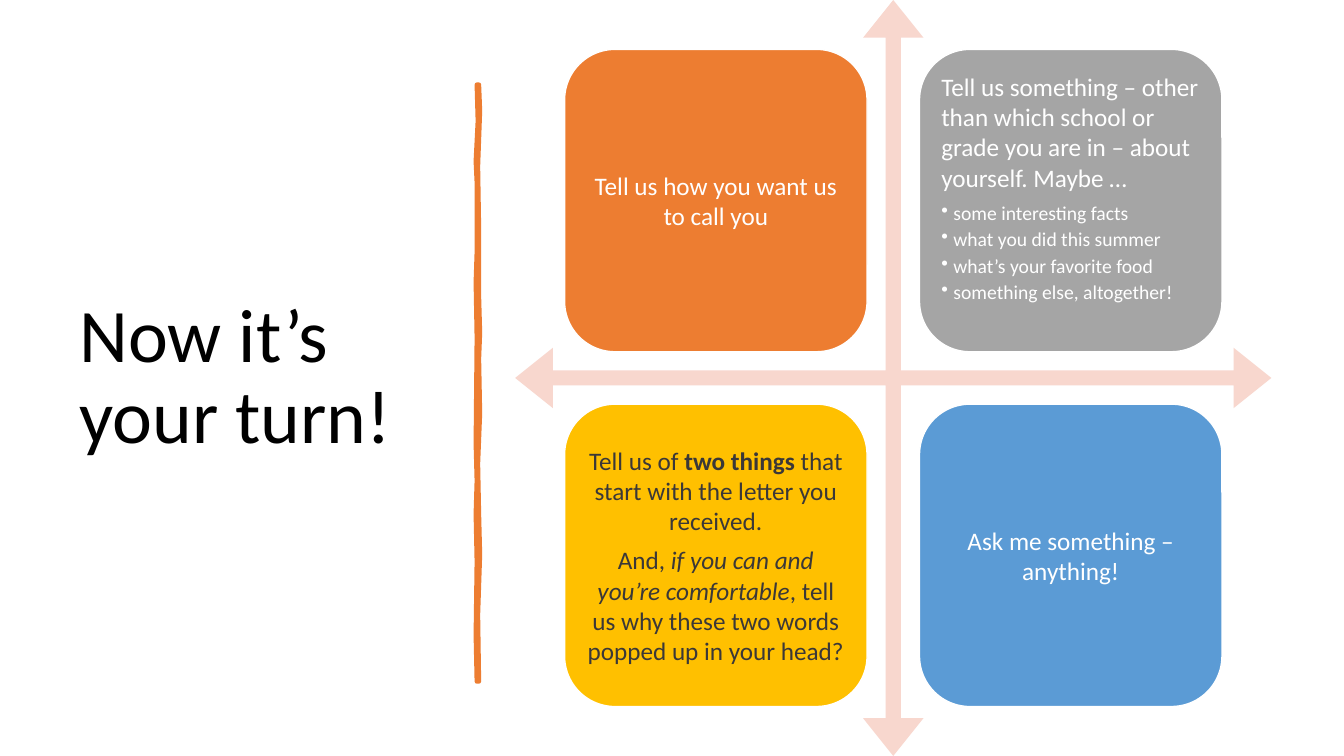
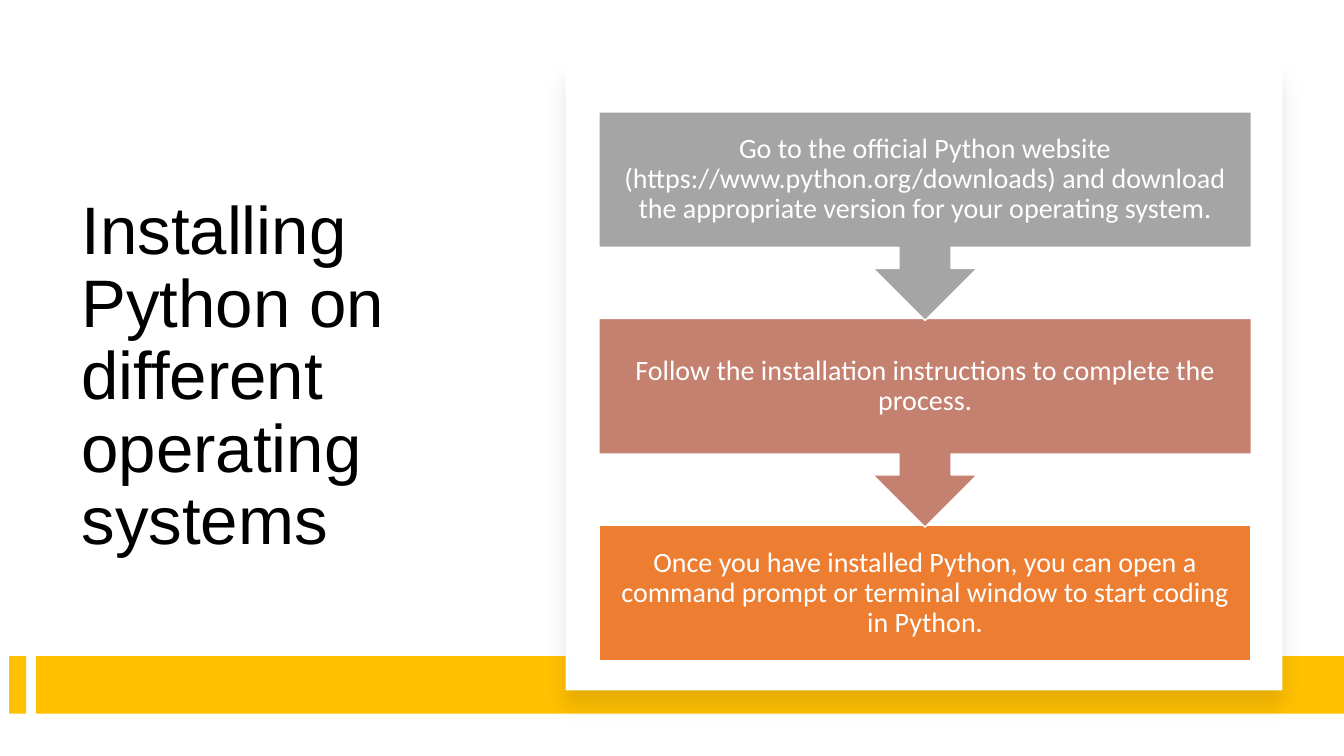
from lxml import etree
from pptx import Presentation
from pptx.dml.color import RGBColor
from pptx.enum.shapes import MSO_SHAPE as SHAPE
from pptx.enum.text import MSO_ANCHOR as ANCHOR, PP_ALIGN as ALIGN
from pptx.oxml.ns import qn
from pptx.util import Inches, Pt

WHITE = RGBColor(0xFF, 0xFF, 0xFF)
BLACK = RGBColor(0x00, 0x00, 0x00)
CHARCOAL = RGBColor(0x3B, 0x38, 0x38)
ORANGE = RGBColor(0xED, 0x7D, 0x31)
GRAY = RGBColor(0xA5, 0xA5, 0xA5)
GOLD = RGBColor(0xFF, 0xC0, 0x00)
BLUE = RGBColor(0x5B, 0x9B, 0xD5)
CLAY = RGBColor(0xC4, 0x81, 0x70)
BLUSH = RGBColor(0xF8, 0xD7, 0xCE)

SLIDE_W, SLIDE_H = 13.33, 7.5
BODY_FONT = "Calibri"

# Each card: fill, text colour, paragraphs of (text, style) runs, bullets
CARDS = [
    (ORANGE, WHITE, [[("Tell us how you want us to call you", "")]], []),
    (GRAY, WHITE,
     [[("Tell us something – other than which school or grade you are in – "
        "about yourself. Maybe …", "")]],
     ["some interesting facts", "what you did this summer",
      "what’s your favorite food", "something else, altogether!"]),
    (GOLD, CHARCOAL,
     [[("Tell us of ", ""), ("two things", "bold"),
       (" that start with the letter you received.", "")],
      [("And, ", ""), ("if you can and you’re comfortable", "italic"),
       (", tell us why these two words popped up in your head?", "")]], []),
    (BLUE, WHITE, [[("Ask me something – anything!", "")]], []),
]
CARD_LEFT, CARD_TOP, CARD_SIZE, CARD_PITCH = 5.6, 0.49, 3, 3.52

STEPS = [
    (GRAY, "Go to the official Python website (https://www.python.org/downloads) "
           "and download the appropriate version for your operating system."),
    (CLAY, "Follow the installation instructions to complete the process."),
    (ORANGE, "Once you have installed Python, you can open a command prompt or "
             "terminal window to start coding in Python."),
]
STEP_LEFT, STEP_TOP, STEP_W, STEP_PITCH = 5.94, 1.11, 6.47, 2.05
STEP_H, CALLOUT_H = 1.35, 2.07

# Hand-drawn rule: right edge downwards, then left edge upwards
RULE_OUTLINE = [
    (4.75, 0.84), (4.76, 1.1), (4.74, 1.65), (4.75, 2.26), (4.75, 2.94),
    (4.76, 3.3), (4.75, 3.56), (4.76, 4.1), (4.74, 4.6), (4.75, 5.1),
    (4.76, 5.5), (4.74, 6.1), (4.75, 6.76),
    (4.73, 6.76), (4.72, 6.3), (4.73, 5.57), (4.72, 5.1), (4.73, 4.77),
    (4.72, 4.4), (4.73, 3.35), (4.72, 2.8), (4.73, 2.5), (4.73, 1.81),
    (4.72, 1.6), (4.74, 1.2), (4.73, 0.84),
]


def add_title(slide, text, box, font_name, size):
    frame = slide.shapes.add_textbox(*map(Inches, box)).text_frame
    frame.word_wrap = True
    frame.vertical_anchor = ANCHOR.MIDDLE
    frame.text = text
    paragraph = frame.paragraphs[0]
    paragraph.line_spacing = 0.9
    style_font(paragraph.runs[0].font, font_name, size, BLACK)


def style_font(font, name, size, color):
    font.name, font.size = name, Pt(size)
    font.color.rgb = color


def add_block(slide, kind, box, fill, outlined=False):
    block = slide.shapes.add_shape(kind, *map(Inches, box))
    block.shadow.inherit = False
    block.fill.solid()
    block.fill.fore_color.rgb = fill
    if outlined:
        block.line.color.rgb = WHITE
        block.line.width = Pt(1)
    else:
        block.line.fill.background()
    return block


def prepare_frame(block, inset, anchor=ANCHOR.MIDDLE):
    frame = block.text_frame
    frame.word_wrap = True
    frame.vertical_anchor = anchor
    frame.margin_left = frame.margin_right = Inches(inset)
    frame.margin_top = frame.margin_bottom = Inches(inset)
    return frame


def add_bullet(paragraph):
    props = paragraph._p.get_or_add_pPr()
    props.set("marL", str(Inches(0.12)))
    props.set("indent", str(-Inches(0.12)))
    etree.SubElement(props, qn("a:buChar")).set("char", "•")


def add_soft_shadow(block):
    effects = block._element.spPr.find(qn("a:effectLst"))
    shadow = etree.SubElement(effects, qn("a:outerShdw"), blurRad=str(Pt(15)),
                              dist=str(Pt(11)), dir="5400000", algn="t", rotWithShape="0")
    color = etree.SubElement(shadow, qn("a:srgbClr"), val="000000")
    etree.SubElement(color, qn("a:alpha"), val="10000")


def add_rule(slide):
    start, *rest = [(Inches(x), Inches(y)) for x, y in RULE_OUTLINE]
    builder = slide.shapes.build_freeform(*start)
    builder.add_line_segments(rest, close=True)
    rule = builder.convert_to_shape()
    rule.shadow.inherit = False
    rule.fill.solid()
    rule.fill.fore_color.rgb = ORANGE
    rule.line.color.rgb = ORANGE
    rule.line.width = Pt(3.25)
    etree.SubElement(rule.line._get_or_add_ln(), qn("a:round"))


def add_card(slide, index, fill, color, paragraphs, bullets):
    row, column = divmod(index, 2)
    box = (CARD_LEFT + column * CARD_PITCH, CARD_TOP + row * CARD_PITCH, CARD_SIZE, CARD_SIZE)
    card = add_block(slide, SHAPE.ROUNDED_RECTANGLE, box, fill, outlined=True)
    frame = prepare_frame(card, 0.07, ANCHOR.TOP if bullets else ANCHOR.MIDDLE)
    entries = [(runs, False) for runs in paragraphs]
    entries += [([(text, "")], True) for text in bullets]
    for position, (runs, bulleted) in enumerate(entries):
        paragraph = frame.add_paragraph() if position else frame.paragraphs[0]
        paragraph.alignment = ALIGN.LEFT if bullets else ALIGN.CENTER
        paragraph.space_after = Pt(2.1 if bulleted else 6.3)
        if bulleted:
            add_bullet(paragraph)
        for text, emphasis in runs:
            run = paragraph.add_run()
            run.text = text
            style_font(run.font, BODY_FONT, 14 if bulleted else 18, color)
            run.font.bold = emphasis == "bold"
            run.font.italic = emphasis == "italic"


def add_step(slide, index, fill, text):
    is_last = index == len(STEPS) - 1
    kind = SHAPE.RECTANGLE if is_last else SHAPE.DOWN_ARROW_CALLOUT
    box = (STEP_LEFT, STEP_TOP + index * STEP_PITCH, STEP_W, STEP_H if is_last else CALLOUT_H)
    frame = prepare_frame(add_block(slide, kind, box, fill, outlined=True), 0.16)
    frame.text = text
    paragraph = frame.paragraphs[0]
    paragraph.alignment = ALIGN.CENTER
    paragraph.line_spacing = 0.9
    style_font(paragraph.runs[0].font, BODY_FONT, 20, WHITE)


def build_turn_slide(slide):
    add_title(slide, "Now it’s your turn!", (0.69, 0.7, 3.74, 6.11), BODY_FONT, 54)
    add_rule(slide)
    cross = add_block(slide, SHAPE.QUAD_ARROW, (5.11, 0, SLIDE_H, SLIDE_H), BLUSH)
    for index, share in enumerate((0.02, 0.04, 0.05)):
        cross.adjustments[index] = share
    for index, card in enumerate(CARDS):
        add_card(slide, index, *card)


def build_install_slide(slide):
    add_title(slide, "Installing Python on different operating systems",
              (0.71, 1.2, 4.15, 5.1), "Arial", 48)
    for left, right in ((0.09, 0.26), (0.36, SLIDE_W)):
        add_block(slide, SHAPE.RECTANGLE, (left, 6.51, right - left, 0.57), GOLD)
    panel = add_block(slide, SHAPE.RECTANGLE, (5.61, 0.64, 7.11, 6.21), WHITE)
    add_soft_shadow(panel)
    # Last step first, so that each arrow tip lies over the step below it
    for index, step in reversed(list(enumerate(STEPS))):
        add_step(slide, index, *step)


def main():
    deck = Presentation()
    deck.slide_width, deck.slide_height = Inches(SLIDE_W), Inches(SLIDE_H)
    for build in (build_turn_slide, build_install_slide):
        build(deck.slides.add_slide(deck.slide_layouts[6]))
    deck.save("out.pptx")


if __name__ == "__main__":
    main()
